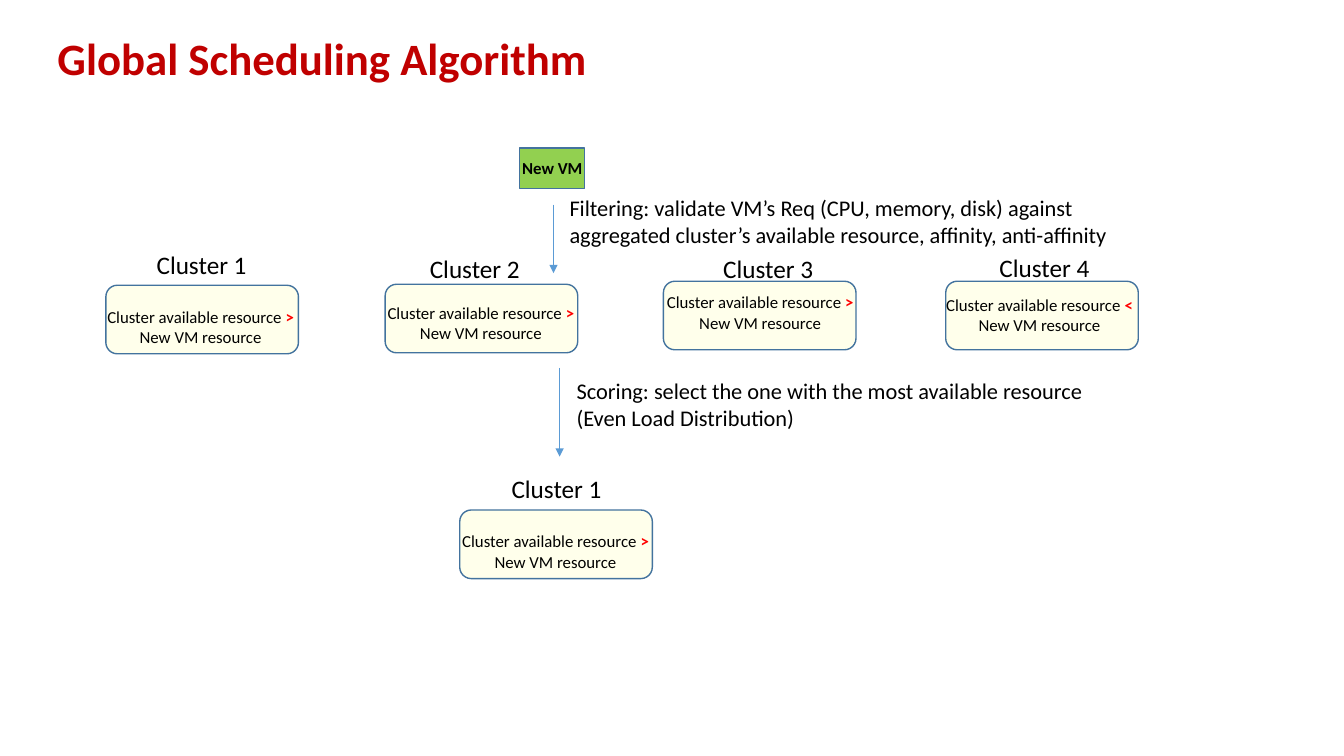
from lxml import etree
from pptx import Presentation
from pptx.dml.color import RGBColor
from pptx.enum.shapes import MSO_CONNECTOR, MSO_SHAPE
from pptx.enum.text import MSO_ANCHOR, PP_ALIGN
from pptx.oxml.ns import qn
from pptx.util import Inches, Pt

RECTANGLE, ROUNDED = MSO_SHAPE.RECTANGLE, MSO_SHAPE.ROUNDED_RECTANGLE
STRAIGHT = MSO_CONNECTOR.STRAIGHT
MIDDLE, TOP = MSO_ANCHOR.MIDDLE, MSO_ANCHOR.TOP
LEFT, CENTER = PP_ALIGN.LEFT, PP_ALIGN.CENTER

BLACK = RGBColor(0x00, 0x00, 0x00)
TITLE_RED = RGBColor(0xC0, 0x00, 0x00)
SIGN_RED = RGBColor(0xFF, 0x00, 0x00)
VM_GREEN = RGBColor(0x92, 0xD0, 0x50)
CLUSTER_CREAM = RGBColor(0xFF, 0xFF, 0xEB)
BORDER_BLUE = RGBColor(0x43, 0x73, 0x9E)
ARROW_BLUE = RGBColor(0x5B, 0x9B, 0xD5)
FONT = "Calibri"

CLUSTER_WIDTH, CLUSTER_HEIGHT = 1.91, 0.68
NAME_WIDTH, NAME_HEIGHT = 1.16, 0.4
CHECK_WIDTH, CHECK_HEIGHT = 2.14, 0.5

# Name, box left, box top, name left, name top, check left, check top, sign
CLUSTERS = [
    ("Cluster 1", 1.05, 2.83, 1.42, 2.42, 0.92, 2.99, ">"),
    ("Cluster 2", 3.82, 2.82, 4.13, 2.46, 3.7, 2.95, ">"),
    ("Cluster 3", 6.58, 2.79, 7.04, 2.46, 6.47, 2.85, ">"),
    ("Cluster 4", 9.38, 2.79, 9.78, 2.45, 9.24, 2.87, "<"),
    ("Cluster 1", 4.56, 5.06, 4.94, 4.65, 4.44, 5.22, ">"),
]


def format_run(run, size, color=BLACK, bold=False):
    run.font.name = FONT
    run.font.size = Pt(size)
    run.font.color.rgb = color
    run.font.bold = bold


def add_text(slide, box, lines, size, alignment=LEFT, bold=False):
    """Each line is a list of (text, colour, bold) runs or a plain string."""
    text_box = slide.shapes.add_textbox(*map(Inches, box))
    text_frame = text_box.text_frame
    text_frame.word_wrap = True
    text_frame.vertical_anchor = TOP
    for index, line in enumerate(lines):
        paragraph = text_frame.add_paragraph() if index else text_frame.paragraphs[0]
        paragraph.alignment = alignment
        runs = [(line, BLACK, bold)] if isinstance(line, str) else line
        for text, color, run_bold in runs:
            run = paragraph.add_run()
            run.text = text
            format_run(run, size, color, run_bold)


def add_box(slide, kind, box, fill):
    shape = slide.shapes.add_shape(kind, *map(Inches, box))
    shape.shadow.inherit = False
    shape.fill.solid()
    shape.fill.fore_color.rgb = fill
    shape.line.color.rgb = BORDER_BLUE
    shape.line.width = Pt(1)


def add_down_arrow(slide, x, top, bottom):
    arrow = slide.shapes.add_connector(STRAIGHT, *map(Inches, (x, top, x, bottom)))
    arrow.line.color.rgb = ARROW_BLUE
    arrow.line.width = Pt(0.5)
    etree.SubElement(arrow.line._get_or_add_ln(), qn("a:tailEnd"), type="triangle")
    etree.SubElement(arrow._element.spPr, qn("a:effectLst"))


def add_title(slide, box):
    title = slide.shapes.title
    title.left, title.top, title.width, title.height = map(Inches, box)
    text_frame = title.text_frame
    text_frame.text = "Global Scheduling Algorithm"
    text_frame.vertical_anchor = MIDDLE
    paragraph = text_frame.paragraphs[0]
    paragraph.alignment = LEFT
    paragraph.line_spacing = 0.9
    format_run(paragraph.runs[0], 32, TITLE_RED, True)


def add_new_vm(slide, box):
    left, top, _, _ = box
    add_box(slide, RECTANGLE, box, VM_GREEN)
    add_text(slide, (left - 0.07, top + 0.05, 0.82, 0.3), ["New VM"], 12, bold=True)


def add_step(slide, box, lines, arrow):
    add_down_arrow(slide, *arrow)
    add_text(slide, box, lines, 16)


def add_cluster(slide, name, left, top, name_left, name_top,
                check_left, check_top, sign):
    add_box(slide, ROUNDED, (left, top, CLUSTER_WIDTH, CLUSTER_HEIGHT), CLUSTER_CREAM)
    add_text(slide, (name_left, name_top, NAME_WIDTH, NAME_HEIGHT), [name], 18, CENTER)
    check = [("Cluster available resource ", BLACK, False),
             (sign + " ", SIGN_RED, True),
             ("New VM resource", BLACK, False)]
    add_text(slide, (check_left, check_top, CHECK_WIDTH, CHECK_HEIGHT),
             [check], 12, CENTER)


presentation = Presentation()
presentation.slide_width = Inches(13.33)
presentation.slide_height = Inches(7.5)
slide = presentation.slides.add_slide(presentation.slide_layouts[5])

add_title(slide, (0.47, 0.09, 8.22, 1.02))
add_new_vm(slide, (5.15, 1.47, 0.65, 0.4))

# Filtering and scoring steps
add_step(slide, (5.55, 1.88, 5.65, 0.64),
         ["Filtering: validate VM’s Req (CPU, memory, disk) against "
          "aggregated cluster’s available resource, affinity, anti-affinity"],
         (5.49, 2.03, 2.71))
add_step(slide, (5.62, 3.69, 5.65, 0.64),
         ["Scoring: select the one with the most available resource",
          "(Even Load Distribution)"],
         (5.55, 3.65, 4.53))

# Four candidates, then the selected cluster
for cluster in CLUSTERS:
    add_cluster(slide, *cluster)

presentation.save("out.pptx")
